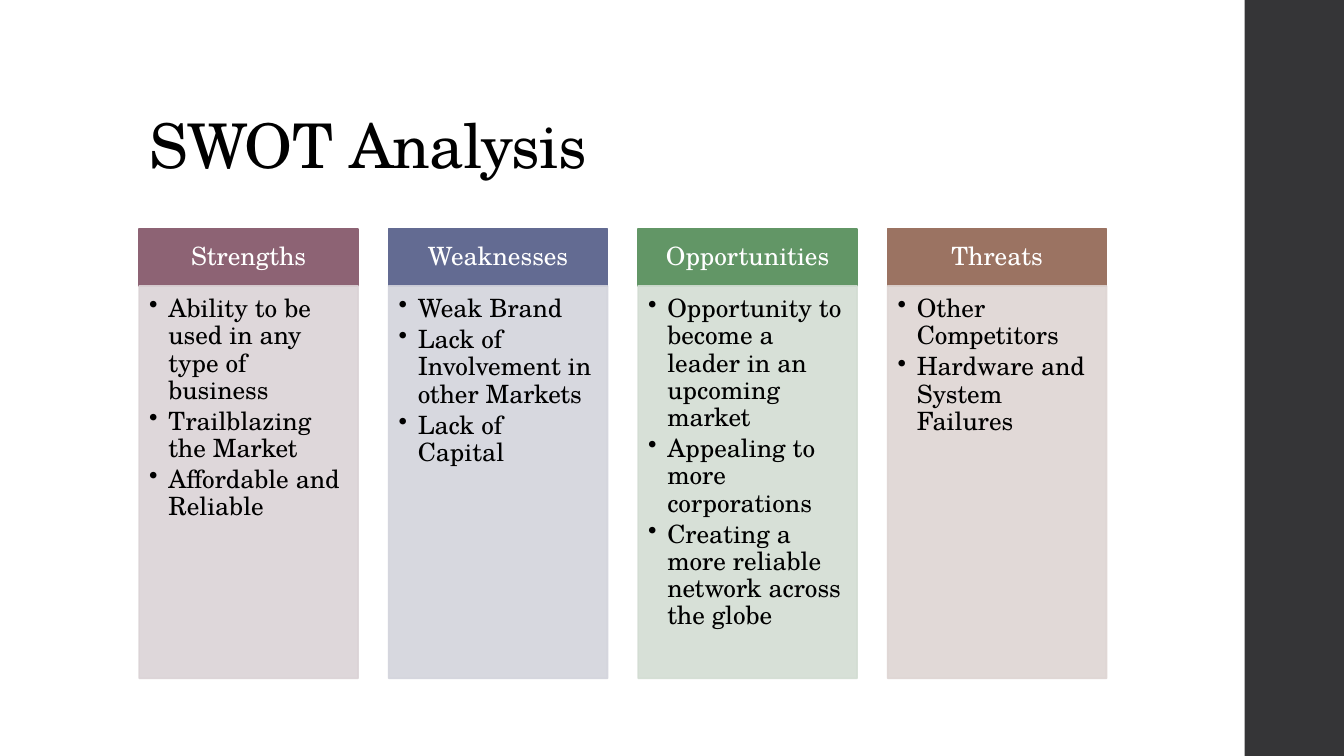
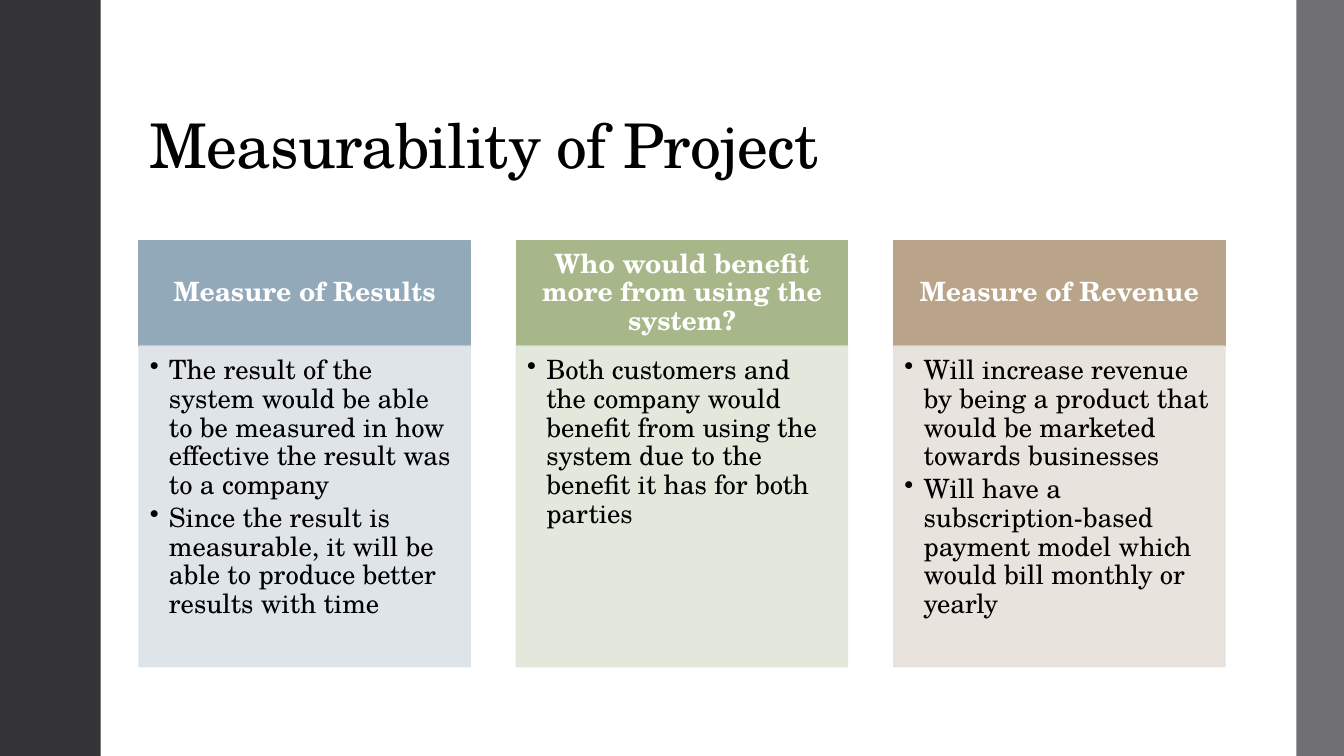
from lxml import etree
from pptx import Presentation
from pptx.dml.color import RGBColor
from pptx.enum.shapes import MSO_SHAPE
from pptx.enum.text import MSO_ANCHOR, MSO_AUTO_SIZE, PP_ALIGN
from pptx.oxml.ns import qn
from pptx.util import Pt

FONT = "TeX Gyre Schola"
SLIDE_W, SLIDE_H = 960, 540
LEFT = 99.4
GAP_RATIO = 0.14  # gap between columns, as a share of column width
BULLET_INDENT = 13.7

COLORS = {
    "white": "FFFFFF", "black": "000000", "dark": "353537", "gray": "6F6F74",
    "plum": "8D6374", "plum_tint": "DBD3D6",
    "indigo": "636B92", "indigo_tint": "D3D4DC",
    "green": "629666", "green_tint": "D3DDD3",
    "brown": "9B7362", "brown_tint": "DED5D3",
    "blue": "92A9B9", "blue_tint": "DCE2E6",
    "olive": "A7B789", "olive_tint": "E1E6DA",
    "tan": "B9A489", "tan_tint": "E6E0DA",
}

SWOT = [
    ("Strengths", "plum", ["Ability to be used in any type of business",
                           "Trailblazing the Market",
                           "Affordable and Reliable"]),
    ("Weaknesses", "indigo", ["Weak Brand",
                              "Lack of Involvement in other Markets",
                              "Lack of Capital"]),
    ("Opportunities", "green", ["Opportunity to become a leader in an upcoming market",
                                "Appealing to more corporations",
                                "Creating a more reliable network across the globe"]),
    ("Threats", "brown", ["Other Competitors",
                          "Hardware and System Failures"]),
]

MEASURES = [
    ("Measure of Results", "blue", [
        "The result of the system would be able to be measured in how "
        "effective the result was to a company",
        "Since the result is measurable, it will be able to produce better "
        "results with time"]),
    ("Who would benefit more from using the system?", "olive", [
        "Both customers and the company would benefit from using the system "
        "due to the benefit it has for both parties"]),
    ("Measure of Revenue", "tan", [
        "Will increase revenue by being a product that would be marketed "
        "towards businesses",
        "Will have a subscription-based payment model which would bill "
        "monthly or yearly"]),
]


def rgb(name):
    return RGBColor.from_string(COLORS[name])


def add_run(p, text, size, color, bold=False):
    r = p.add_run()
    r.text = text
    r.font.name = FONT
    r.font.size = Pt(size)
    r.font.bold = bold
    r.font.color.rgb = rgb(color)
    return r


def add_rect(s, x, y, w, h, color, outlined=False, opacity=100):
    sp = s.shapes.add_shape(MSO_SHAPE.RECTANGLE, Pt(x), Pt(y), Pt(w), Pt(h))
    sp.shadow.inherit = False
    sp.fill.solid()
    sp.fill.fore_color.rgb = rgb(color)
    if outlined:
        sp.line.color.rgb = rgb(color)
        sp.line.width = Pt(1.1)
    else:
        sp.line.fill.background()
    if opacity < 100:
        for clr in sp._element.spPr.iter(qn("a:srgbClr")):
            etree.SubElement(clr, qn("a:alpha")).set("val", str(opacity * 1000))
    return sp


def set_frame(sp, anchor, left, top, right, bottom):
    tf = sp.text_frame
    tf.word_wrap = True
    tf.auto_size = MSO_AUTO_SIZE.NONE
    tf.vertical_anchor = anchor
    tf.margin_left, tf.margin_top = Pt(left), Pt(top)
    tf.margin_right, tf.margin_bottom = Pt(right), Pt(bottom)
    return tf


def add_bullet(p):
    pPr = p._p.get_or_add_pPr()
    pPr.set("marL", str(Pt(BULLET_INDENT)))
    pPr.set("indent", str(-Pt(BULLET_INDENT)))
    etree.SubElement(pPr, qn("a:buChar")).set("char", "•")


def add_heading(s, x, y, w, h, text, color, size, bold):
    sp = add_rect(s, x, y, w, h, color, outlined=True)
    side, edge = size * 0.56, size * 0.32
    p = set_frame(sp, MSO_ANCHOR.MIDDLE, side, edge, side, edge).paragraphs[0]
    p.alignment = PP_ALIGN.CENTER
    p.line_spacing = 0.9
    add_run(p, text, size, "white", bold)


def add_bullet_panel(s, x, y, w, h, items, color, size):
    sp = add_rect(s, x, y, w, h, color, outlined=True, opacity=90)
    tf = set_frame(sp, MSO_ANCHOR.TOP, size * 0.4, size * 0.4, size * 0.56, size * 0.64)
    for i, item in enumerate(items):
        p = tf.add_paragraph() if i else tf.paragraphs[0]
        add_bullet(p)
        p.alignment = PP_ALIGN.LEFT
        p.line_spacing = 0.9
        p.space_after = Pt(size * 0.15)
        add_run(p, item, size, "black")


def add_columns(s, x, y, w, head_h, body_h, columns, size, bold=False):
    """Fill the given width with equal headed columns."""
    n = len(columns)
    col_w = w / (n + (n - 1) * GAP_RATIO)
    for i, (heading, color, items) in enumerate(columns):
        col_x = x + i * col_w * (1 + GAP_RATIO)
        add_heading(s, col_x, y, col_w, head_h, heading, color, size, bold)
        add_bullet_panel(s, col_x, y + head_h, col_w, body_h, items, color + "_tint", size)


def add_titled_slide(prs, title, title_w, bands):
    """Add a slide with its title and full-height (x, width, color) bands."""
    s = prs.slides.add_slide(prs.slide_layouts[5])
    s.background.fill.solid()
    s.background.fill.fore_color.rgb = rgb("white")
    sp = s.shapes.title
    sp.left, sp.top, sp.width, sp.height = Pt(LEFT), Pt(28.8), Pt(title_w), Pt(104.4)
    p = set_frame(sp, MSO_ANCHOR.BOTTOM, 7.2, 3.6, 7.2, 3.6).paragraphs[0]
    p.alignment = PP_ALIGN.LEFT
    p.line_spacing = 0.9
    r = add_run(p, title, 44, "black")
    r.font._element.set("spc", "-50")
    for x, w, color in bands:
        add_rect(s, x, 0, w, SLIDE_H, color)
    return s


def add_swot_slide(prs):
    s = add_titled_slide(prs, "SWOT Analysis", 763, [(889, SLIDE_W - 889, "dark")])
    add_columns(s, LEFT, 163.4, 691, 40.8, 280.4, SWOT, 18)


def add_measures_slide(prs):
    s = add_titled_slide(prs, "Measurability of Project", 776,
                         [(0, 72, "dark"), (926, SLIDE_W - 926, "gray")])
    add_columns(s, LEFT, 171.8, 775.5, 75.4, 229, MEASURES, 19, bold=True)


def main():
    prs = Presentation()
    prs.slide_width, prs.slide_height = Pt(SLIDE_W), Pt(SLIDE_H)
    add_swot_slide(prs)
    add_measures_slide(prs)
    prs.save("out.pptx")


if __name__ == "__main__":
    main()
